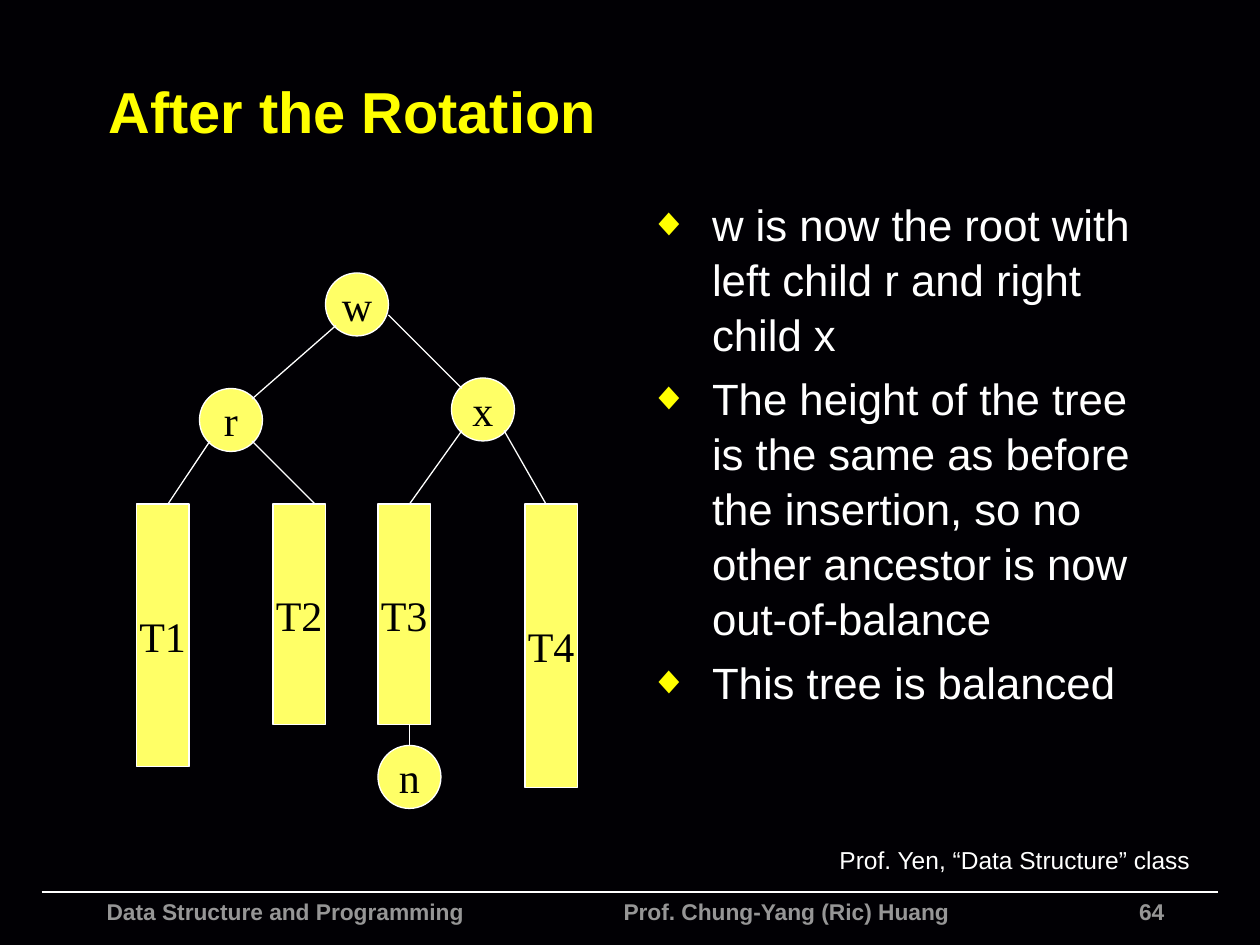
from dataclasses import dataclass

from lxml import etree
from pptx import Presentation
from pptx.dml.color import RGBColor
from pptx.enum import shapes, text
from pptx.oxml.ns import qn
from pptx.util import Cm, Pt


@dataclass(frozen=True)
class Theme:
    background: RGBColor = RGBColor(0x01, 0x00, 0x04)
    accent: RGBColor = RGBColor(0xFF, 0xFF, 0x00)
    node: RGBColor = RGBColor(0xFF, 0xFF, 0x66)
    light: RGBColor = RGBColor(0xFF, 0xFF, 0xFF)
    dark: RGBColor = RGBColor(0x00, 0x00, 0x00)
    muted: RGBColor = RGBColor(0x96, 0x96, 0x96)
    sans: str = "Arial"
    serif: str = "Times New Roman"
    title: int = 33
    body: int = 25
    label: int = 24
    credit: int = 14
    footer: int = 13


THEME = Theme()
GRID = 2.54 / 12  # the tree sits on a grid of twelve steps to the inch
CIRCLE = shapes.MSO_SHAPE.OVAL
BAR = shapes.MSO_SHAPE.RECTANGLE

# label: shape, left, top, width, height in grid steps
NODES = {
    "w": (CIRCLE, 31, 26, 6, 6),
    "r": (CIRCLE, 19, 37, 6, 6),
    "x": (CIRCLE, 43, 36, 6, 6),
    "n": (CIRCLE, 36, 71, 6, 6),
    "T1": (BAR, 13, 48, 5, 25),
    "T2": (BAR, 26, 48, 5, 21),
    "T3": (BAR, 36, 48, 5, 21),
    "T4": (BAR, 50, 48, 5, 27),
}
# start and end of each branch in grid steps
BRANCHES = [
    (32, 31, 24, 38),
    (37, 30, 44, 37),
    (20, 42, 16, 48),
    (24, 42, 30, 48),
    (44, 41, 39, 48),
    (48, 41, 52, 48),
]
LEAF_BRANCH = (39, 69, 39, 71)

POINTS = [
    "w is now the root with left child r and right child x",
    "The height of the tree is the same as before the insertion, "
    "so no other ancestor is now out-of-balance",
    "This tree is balanced",
]


def on_grid(steps):
    return [Cm(step * GRID) for step in steps]


def style(para, size, color, name=THEME.sans, bold=False):
    font = para.font
    font.name, font.size, font.bold = name, Pt(size), bold
    font.color.rgb = color


def place(box, left, top, width, height):
    box.left, box.top, box.width, box.height = map(Cm, (left, top, width, height))


def add_line(page, ends, width):
    line = page.shapes.add_connector(shapes.MSO_CONNECTOR.STRAIGHT, *ends)
    line.line.color.rgb = THEME.light
    line.line.width = Pt(width)
    etree.SubElement(line._element.spPr, qn("a:effectLst"))
    return line


def add_node(page, label, kind, *bounds):
    node = page.shapes.add_shape(kind, *on_grid(bounds))
    node.shadow.inherit = False
    node.fill.solid()
    node.fill.fore_color.rgb = THEME.node
    node.line.color.rgb = THEME.light
    node.line.width = Pt(0.75)
    frame = node.text_frame
    frame.word_wrap = False
    frame.vertical_anchor = text.MSO_ANCHOR.MIDDLE
    frame.text = label
    para = frame.paragraphs[0]
    para.alignment = text.PP_ALIGN.CENTER
    style(para, THEME.label, THEME.dark, THEME.serif)
    return node


def add_tree(page):
    nodes = {label: add_node(page, label, *spec) for label, spec in NODES.items()}
    for branch in BRANCHES:
        add_line(page, on_grid(branch), 0.75)
    add_line(page, on_grid(LEAF_BRANCH), 0.75).end_connect(nodes["n"], 0)


def add_text(page, words, bounds, size, color, align, bold=False, tab=None):
    box = page.shapes.add_textbox(*map(Cm, bounds))
    frame = box.text_frame
    frame.word_wrap = True
    frame.text = words
    para = frame.paragraphs[0]
    para.alignment = align
    if tab:
        tabs = etree.SubElement(para._p.get_or_add_pPr(), qn("a:tabLst"))
        etree.SubElement(tabs, qn("a:tab"), pos=str(Cm(tab)), algn="l")
    style(para, size, color, bold=bold)
    return box


def add_bullet(para):
    props = para._p.get_or_add_pPr()
    props.set("marL", str(Cm(1.27)))
    props.set("indent", str(Cm(-1.27)))
    color = etree.SubElement(props, qn("a:buClr"))
    etree.SubElement(color, qn("a:srgbClr"), val=str(THEME.accent))
    etree.SubElement(props, qn("a:buSzPct"), val="90000")
    etree.SubElement(props, qn("a:buFont"), typeface=THEME.sans)
    etree.SubElement(props, qn("a:buChar"), char="◆")


def fill_title(title, words):
    place(title, 1.93, 0.94, 22.45, 2.57)
    frame = title.text_frame
    frame.text = words
    frame.auto_size = text.MSO_AUTO_SIZE.NONE
    frame.vertical_anchor = text.MSO_ANCHOR.MIDDLE
    para = frame.paragraphs[0]
    para.alignment = text.PP_ALIGN.LEFT
    style(para, THEME.title, THEME.accent, bold=True)


def fill_body(body, points):
    place(body, 12.83, 3.81, 10.59, 13.13)
    frame = body.text_frame
    frame.text = "\n".join(points)
    frame.auto_size = text.MSO_AUTO_SIZE.NONE
    for index, para in enumerate(frame.paragraphs):
        para.line_spacing = 1.05
        para.space_before = Pt(5 if index else 0)
        add_bullet(para)
        style(para, THEME.body, THEME.light)


def add_footer(page):
    left, right = text.PP_ALIGN.LEFT, text.PP_ALIGN.RIGHT
    add_line(page, map(Cm, (0.84, 17.98, 24.56, 17.98)), 1)
    add_text(page, "Data Structure and Programming\tProf. Chung-Yang (Ric) Huang",
             (1.9, 17.98, 18.39, 1.07), THEME.footer, THEME.muted, left,
             bold=True, tab=10.42)
    add_text(page, "64", (15.67, 17.98, 8.05, 0.46), THEME.footer, THEME.muted,
             right, bold=True)


def add_credit(page):
    box = add_text(page, "Prof. Yen, “Data Structure” class", (16.79, 16.92, 7.34, 0.84),
                   THEME.credit, THEME.light, text.PP_ALIGN.CENTER)
    frame = box.text_frame
    frame.word_wrap = False
    frame.auto_size = text.MSO_AUTO_SIZE.SHAPE_TO_FIT_TEXT
    frame.margin_left = frame.margin_right = Cm(0.13)


def main():
    deck = Presentation()
    deck.slide_width, deck.slide_height = Cm(25.4), Cm(19.05)
    page = deck.slides.add_slide(deck.slide_layouts[1])
    page.background.fill.solid()
    page.background.fill.fore_color.rgb = THEME.background
    fill_title(page.shapes.title, "After the Rotation")
    fill_body(page.placeholders[1], POINTS)
    add_footer(page)
    add_tree(page)
    add_credit(page)
    deck.save("out.pptx")


if __name__ == "__main__":
    main()
